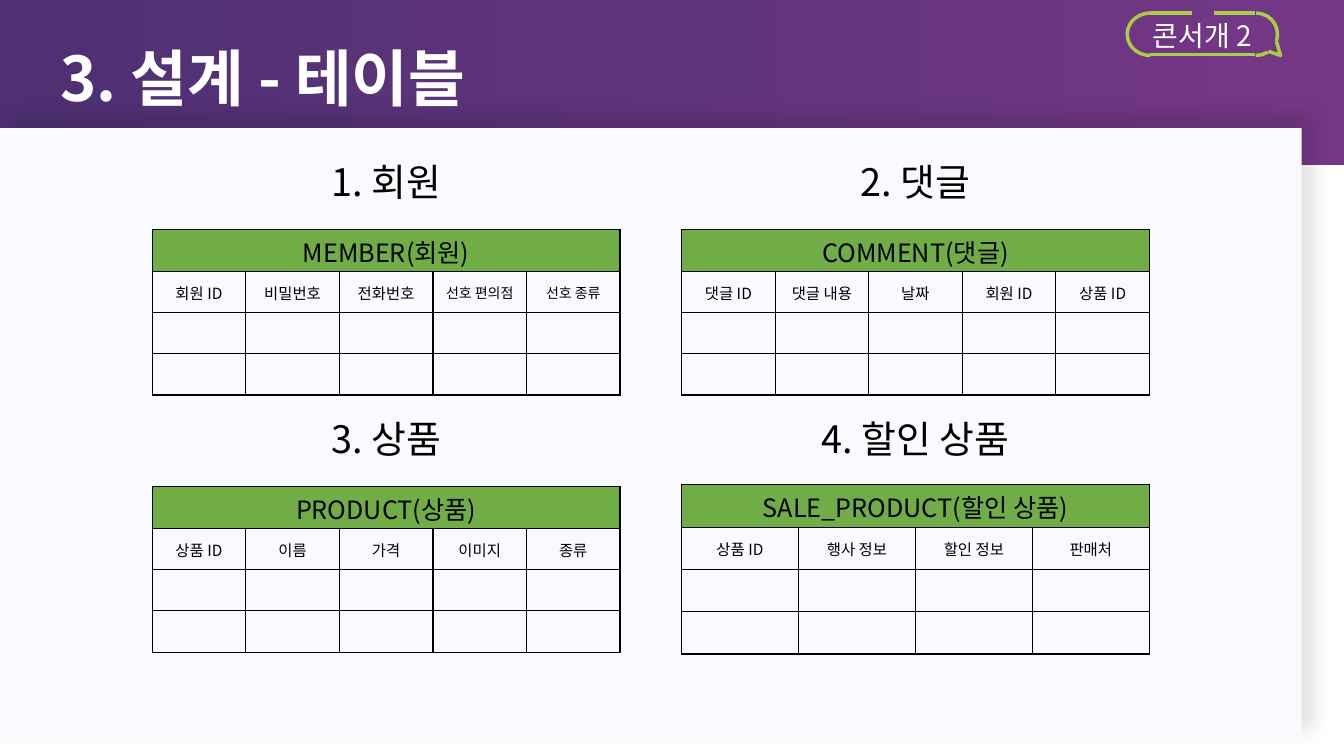
from lxml import etree
from pptx import Presentation
from pptx.dml.color import RGBColor
from pptx.enum.shapes import MSO_CONNECTOR, MSO_SHAPE
from pptx.enum.text import MSO_ANCHOR, MSO_AUTO_SIZE, PP_ALIGN
from pptx.oxml import parse_xml
from pptx.oxml.ns import nsdecls, qn
from pptx.util import Inches, Pt

COLORS = {
    "white": "FFFFFF", "black": "000000", "purple": "4E3073", "plum": "743786",
    "lime": "ABCC49", "card": "F9FAFE", "green": "70AD47",
}
FONT = "Noto Sans CJK KR"
CELL_FORMAT = {
    "margin_left": Inches(0.01), "margin_right": Inches(0.01),
    "margin_top": Inches(0.01), "margin_bottom": 0,
    "vertical_anchor": MSO_ANCHOR.MIDDLE,
}
COLUMN_LEFTS = (1.51, 6.76)
TABLE_WIDTH = 4.64
HEADING_WIDTH = 2.55

# heading, table column, heading top, table top, row height, name, fields
ENTITIES = [
    ("1. 회원", 0, 1.49, 2.28, 0.41, "MEMBER(회원)",
     ["회원 ID", "비밀번호", "전화번호", "선호 편의점", "선호 종류"]),
    ("2. 댓글", 1, 1.49, 2.28, 0.41, "COMMENT(댓글)",
     ["댓글 ID", "댓글 내용", "날짜", "회원 ID", "상품 ID"]),
    ("3. 상품", 0, 4.04, 4.83, 0.41, "PRODUCT(상품)",
     ["상품 ID", "이름", "가격", "이미지", "종류"]),
    ("4. 할인 상품", 1, 4.04, 4.81, 0.42, "SALE_PRODUCT(할인 상품)",
     ["상품 ID", "행사 정보", "할인 정보", "판매처"]),
]
SMALL_FIELDS = {"선호 편의점", "선호 종류"}


def color(name):
    return RGBColor.from_string(COLORS[name])


def apply(target, values):
    for attribute, value in values.items():
        setattr(target, attribute, value)


def write(frame, text, size, ink="black", align=PP_ALIGN.CENTER, bold=False):
    paragraph = frame.paragraphs[0]
    paragraph.alignment = align
    run = paragraph.add_run()
    run.text = text
    apply(run.font, {"name": FONT, "size": Pt(size), "bold": bold})
    run.font.color.rgb = color(ink)
    etree.SubElement(run.font._element, qn("a:ea")).set("typeface", FONT)
    return paragraph


def place(shape, left, top, width, height):
    apply(shape, {"left": Inches(left), "top": Inches(top),
                  "width": Inches(width), "height": Inches(height)})


def add_banner(slide):
    banner = slide.shapes.title
    place(banner, 0, 0, 13.33, 1.64)
    banner.fill.gradient()
    banner.fill.gradient_angle = 0
    for stop, name in zip(banner.fill.gradient_stops, ("purple", "plum")):
        stop.color.rgb = color(name)
    apply(banner.text_frame, {
        "margin_left": Inches(0.6), "margin_top": Inches(0.05),
        "margin_bottom": Inches(0.16), "word_wrap": True,
        "vertical_anchor": MSO_ANCHOR.MIDDLE, "auto_size": MSO_AUTO_SIZE.NONE,
    })
    write(banner.text_frame, "3. 설계 - 테이블", 44, "white", PP_ALIGN.LEFT, True)


def style_outline(shape):
    shape.line.color.rgb = color("lime")
    shape.line.width = Pt(2.5)


def add_curve(group, kind, box, adjustments, flip=False):
    curve = group.shapes.add_shape(kind, *map(Inches, box))
    for index, value in enumerate(adjustments):
        curve.adjustments[index] = value
    if flip:
        curve._element.spPr.find(qn("a:xfrm")).set("flipH", "1")
    curve.fill.background()
    curve.shadow.inherit = False
    style_outline(curve)


def add_bubble(slide):
    bubble = slide.shapes.add_group_shape()
    corner = (12.25, 0.13, 0.42, 0.42)
    add_curve(bubble, MSO_SHAPE.LEFT_BRACKET, (11.18, 0.13, 0.23, 0.42), [0.92])
    add_curve(bubble, MSO_SHAPE.ARC, corner, [97.02, 162.08], flip=True)
    add_curve(bubble, MSO_SHAPE.ARC, corner, [52.96, 73.55], flip=True)
    for start, end, y in ((11.41, 12.45, 0.54), (11.41, 11.82, 0.13), (12.04, 12.45, 0.13)):
        edge = bubble.shapes.add_connector(
            MSO_CONNECTOR.STRAIGHT, Inches(start), Inches(y), Inches(end), Inches(y))
        style_outline(edge)
        etree.SubElement(edge._element.spPr, qn("a:effectLst"))
    # Tail of the bubble
    builder = bubble.shapes.build_freeform(Inches(12.66), Inches(0.41))
    builder.add_line_segments(
        [(Inches(12.7), Inches(0.55)), (Inches(12.58), Inches(0.51))], close=False)
    tail = builder.convert_to_shape()
    tail.fill.background()
    tail.shadow.inherit = False
    style_outline(tail)


def add_label(slide, text, box, size, ink, frame_format, spacing=None):
    label = slide.shapes.add_textbox(*map(Inches, box))
    apply(label.text_frame, {"word_wrap": True, **frame_format})
    write(label.text_frame, text, size, ink).line_spacing = spacing


def add_card(slide):
    card = slide.shapes.add_shape(
        MSO_SHAPE.RECTANGLE, 0, Inches(1.27), Inches(12.91), Inches(6.11))
    card.fill.solid()
    card.fill.fore_color.rgb = color("card")
    card.line.fill.background()
    card.shadow.inherit = False
    card._element.spPr.find(qn("a:effectLst")).append(parse_xml(
        f'<a:outerShdw {nsdecls("a")} blurRad="{Pt(13)}" dist="{Pt(13)}" dir="18900000" '
        f'algn="bl" rotWithShape="0"><a:srgbClr val="{COLORS["black"]}">'
        '<a:alpha val="11000"/></a:srgbClr></a:outerShdw>'))


def style_cell(cell, fill=None):
    apply(cell, CELL_FORMAT)
    if fill:
        cell.fill.solid()
        cell.fill.fore_color.rgb = color(fill)
    else:
        cell.fill.background()
    # Borders come before the fill
    for index, side in enumerate(("lnL", "lnR", "lnT", "lnB")):
        cell._tc.tcPr.insert(index, parse_xml(
            f'<a:{side} {nsdecls("a")} w="{Pt(1)}"><a:solidFill>'
            f'<a:srgbClr val="{COLORS["black"]}"/></a:solidFill></a:{side}>'))


def add_entity_table(slide, left, top, row_height, name, fields):
    count = len(fields)
    table = slide.shapes.add_table(
        4, count, Inches(left), Inches(top),
        Inches(TABLE_WIDTH), Inches(4 * row_height)).table
    apply(table, {"first_row": False, "horz_banding": False})
    for row_index, row in enumerate(table.rows):
        for cell in row.cells:
            style_cell(cell, "green" if row_index == 0 else None)
    table.cell(0, 0).merge(table.cell(0, count - 1))
    write(table.cell(0, 0).text_frame, name, 18)
    for column, field in enumerate(fields):
        write(table.cell(1, column).text_frame, field, 10 if field in SMALL_FIELDS else 11)


def main():
    deck = Presentation()
    apply(deck, {"slide_width": Inches(13.33), "slide_height": Inches(7.5)})
    slide = deck.slides.add_slide(deck.slide_layouts[5])

    # Header
    add_banner(slide)
    add_bubble(slide)
    add_label(slide, "콘서개 2", (11.3, 0.13, 1.25, 0.44), 20, "white",
              {"auto_size": MSO_AUTO_SIZE.SHAPE_TO_FIT_TEXT})

    # Tables with their headings
    add_card(slide)
    for heading, column, heading_top, top, row_height, name, fields in ENTITIES:
        left = COLUMN_LEFTS[column]
        add_entity_table(slide, left, top, row_height, name, fields)
        heading_left = left + (TABLE_WIDTH - HEADING_WIDTH) / 2
        add_label(slide, heading, (heading_left, heading_top, HEADING_WIDTH, 0.67),
                  27, "black", {"vertical_anchor": MSO_ANCHOR.MIDDLE}, 0.9)

    deck.save("out.pptx")


if __name__ == "__main__":
    main()
